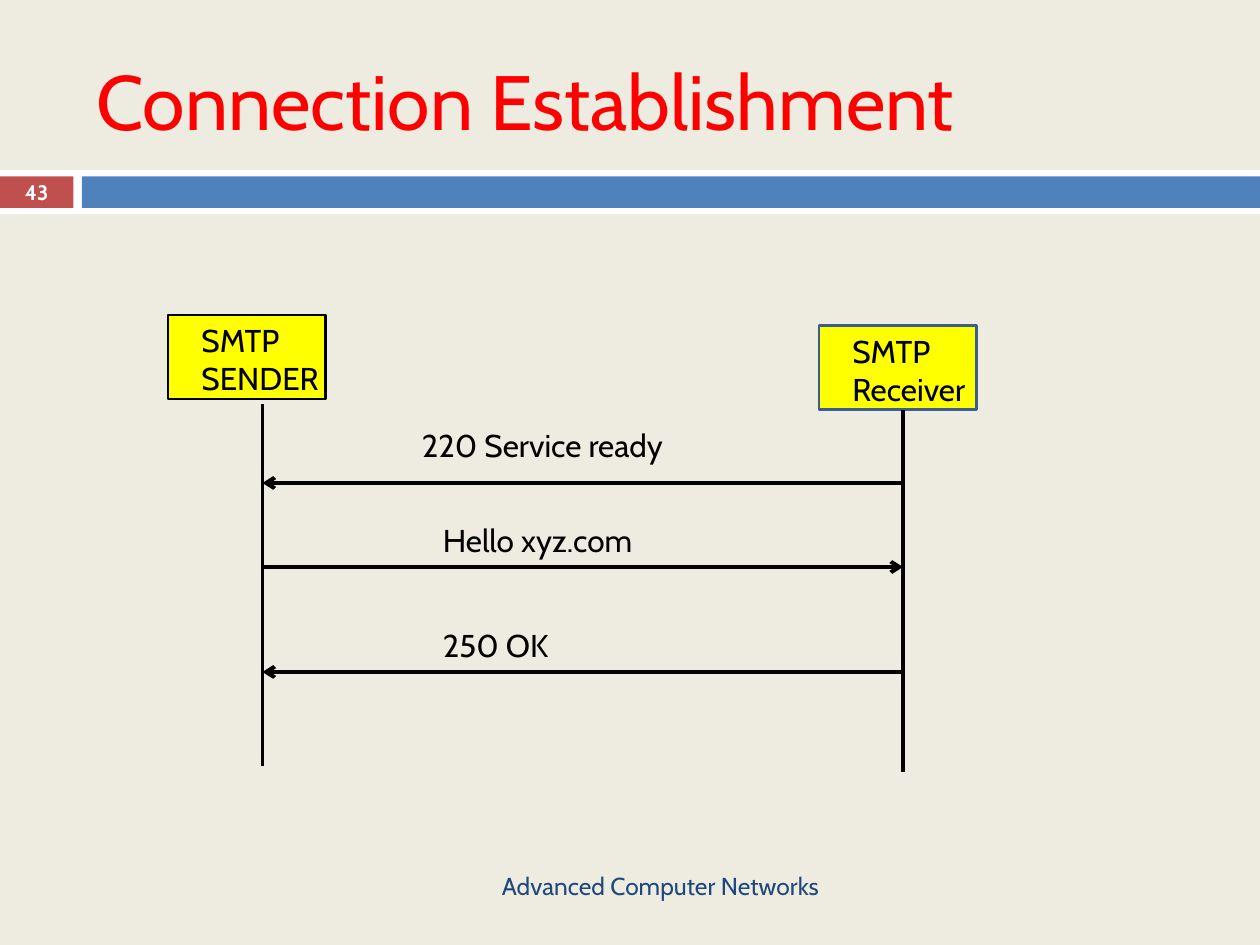
import pptx
import pptx.util
import pptx.dml.color
import pptx.enum.shapes
import pptx.enum.text
import pptx.oxml.ns
import lxml.etree

RGBColor = pptx.dml.color.RGBColor
ALIGN = pptx.enum.text.PP_ALIGN
MIDDLE = pptx.enum.text.MSO_ANCHOR.MIDDLE
TOP = pptx.enum.text.MSO_ANCHOR.TOP
qn = pptx.oxml.ns.qn

BLACK = RGBColor(0, 0, 0)
WHITE = RGBColor(255, 255, 255)
CREAM = RGBColor(0xEE, 0xEC, 0xE1)
RED = RGBColor(255, 0, 0)
BRICK = RGBColor(0xC0, 0x50, 0x4D)
BLUE = RGBColor(0x4F, 0x81, 0xBD)
NAVY = RGBColor(0x1F, 0x49, 0x7D)
STEEL = RGBColor(0x3A, 0x5F, 0x8C)
YELLOW = RGBColor(255, 255, 0)

FONT = "Cabin"
COLUMNS, ROWS = 120, 90

TITLE = "Connection Establishment"
FOOTER = "Advanced Computer Networks"
PAGE = "43"
BANDS = [
    (0, 16.2, 120, 4.2, WHITE),
    (0, 16.8, 7, 3, BRICK),
    (7.8, 16.8, 112.2, 3, BLUE),
]
SENDER_X, RECEIVER_X = 25, 86
HOSTS = [
    ("SMTP SENDER", 16, 30, BLACK, SENDER_X, 38.5, 73),
    ("SMTP Receiver", 78, 31, STEEL, RECEIVER_X, 39, 73.5),
]
MESSAGES = [
    ("220 Service ready", 39, 40, 46, RECEIVER_X, SENDER_X),
    ("Hello xyz.com", 41, 49, 54, SENDER_X, RECEIVER_X),
    ("250 OK", 41, 59, 64, RECEIVER_X, SENDER_X),
]

prs = pptx.Presentation()
prs.slide_width = pptx.util.Inches(10)
prs.slide_height = pptx.util.Inches(7.5)


def grid(*lengths):
    units = (prs.slide_width / COLUMNS, prs.slide_height / ROWS)
    return [round(n * units[i % 2]) for i, n in enumerate(lengths)]


def write(shape, text, size, color, align=ALIGN.LEFT, anchor=TOP, bold=False):
    tf = shape.text_frame
    tf.word_wrap = True
    tf.vertical_anchor = anchor
    p = tf.paragraphs[0]
    p.alignment = align
    r = p.add_run()
    r.text = text
    r.font.name = FONT
    r.font.size = pptx.util.Pt(size)
    r.font.bold = bold
    r.font.color.rgb = color


def add_text(s, box, *args, **kwargs):
    write(s.shapes.add_textbox(*grid(*box)), *args, **kwargs)


def add_box(s, box, fill, line=None):
    sp = s.shapes.add_shape(pptx.enum.shapes.MSO_SHAPE.RECTANGLE, *grid(*box))
    sp.shadow.inherit = False
    sp.fill.solid()
    sp.fill.fore_color.rgb = fill
    if line is None:
        sp.line.fill.background()
    else:
        sp.line.color.rgb = line
        sp.line.width = pptx.util.Pt(1.5)


def add_line(s, ends, arrow=False):
    kind = pptx.enum.shapes.MSO_CONNECTOR.STRAIGHT
    c = s.shapes.add_connector(kind, *grid(*ends))
    c.line.color.rgb = BLACK
    c.line.width = pptx.util.Pt(2.25)
    if arrow:
        ln = c.line._get_or_add_ln()
        lxml.etree.SubElement(ln, qn("a:tailEnd"), type="arrow")
    lxml.etree.SubElement(c._element.spPr, qn("a:effectLst"))


def main():
    s = prs.slides.add_slide(prs.slide_layouts[5])
    s.background.fill.solid()
    s.background.fill.fore_color.rgb = CREAM

    title = s.shapes.title
    title.left, title.top, title.width, title.height = grid(8, 3, 107, 13)
    write(title, TITLE, 44, RED, anchor=MIDDLE)

    for *box, fill in BANDS:
        add_box(s, box, fill)
    add_text(s, (0, 16.7, 7, 3.2), PAGE, 12, WHITE, ALIGN.CENTER, MIDDLE, True)
    add_text(s, (8, 82, 71.2, 4.8), FOOTER, 14, NAVY, ALIGN.RIGHT, MIDDLE)

    for name, x, y, outline, line_x, start, end in HOSTS:
        add_box(s, (x, y, 15, 8), YELLOW, outline)
        add_text(s, (x + 2, y, 14, 8.5), name, 18, BLACK)
        add_line(s, (line_x, start, line_x, end))

    for text, x, y, arrow_y, start, end in MESSAGES:
        add_line(s, (start, arrow_y, end, arrow_y), arrow=True)
        add_text(s, (x, y, 32, 5), text, 18, BLACK)

    prs.save("out.pptx")


if __name__ == "__main__":
    main()
